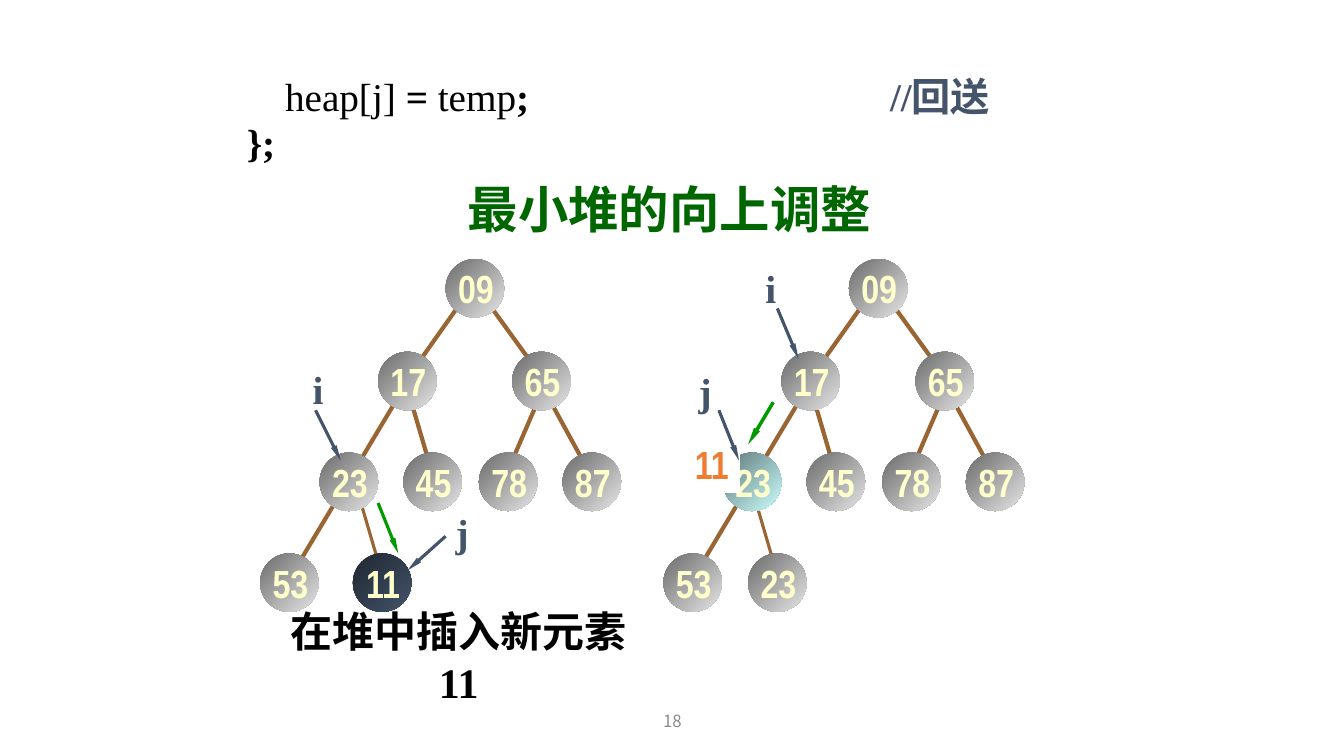
from lxml.etree import SubElement
from pptx import Presentation
from pptx.dml.color import RGBColor
from pptx.enum.shapes import MSO_CONNECTOR, MSO_SHAPE
from pptx.enum.text import MSO_ANCHOR as ANCHOR, PP_ALIGN as ALIGN
from pptx.oxml.ns import qn
from pptx.util import Inches, Pt

BLACK = RGBColor(0x00, 0x00, 0x00)
WHITE = RGBColor(0xFF, 0xFF, 0xFF)
PAGE_GRAY = RGBColor(0x8C, 0x8C, 0x8C)
NODE_GRAY = RGBColor(0xE7, 0xE6, 0xE6)
NODE_CYAN = RGBColor(0xCC, 0xFF, 0xFF)
SLATE = RGBColor(0x44, 0x54, 0x6A)
CREAM = RGBColor(0xFF, 0xFF, 0xCC)
BROWN = RGBColor(0x99, 0x66, 0x33)
GREEN = RGBColor(0x00, 0x99, 0x00)
TITLE_GREEN = RGBColor(0x00, 0x66, 0x00)
ORANGE = RGBColor(0xED, 0x7D, 0x31)
SERIF, NARROW, CJK = "Times New Roman", "Arial Narrow", "Noto Sans CJK SC"

prs = Presentation()
prs.slide_width, prs.slide_height = Inches(13.33), Inches(7.5)
slide = prs.slides.add_slide(prs.slide_layouts[6])
shapes = slide.shapes


def style(run, size, font, color, bold=True):
    run.font.size, run.font.bold = Pt(size), bold
    run.font.color.rgb = color
    run.font.name = font
    SubElement(run.font._element, qn("a:ea")).set("typeface", CJK)


def draw_line(start, end, color, width, arrow=False):
    line = shapes.add_connector(MSO_CONNECTOR.STRAIGHT, *map(Inches, start + end))
    line.line.color.rgb, line.line.width = color, Pt(width)
    SubElement(line._element.spPr, qn("a:effectLst"))
    if arrow:
        head = SubElement(line.line._get_or_add_ln(), qn("a:tailEnd"))
        for key, value in (("type", "triangle"), ("w", "sm"), ("len", "lg")):
            head.set(key, value)


EDGES = [
    ((4.58, 2.99), (4.17, 3.57)),
    ((4.83, 2.99), (5.25, 3.57)),
    ((3.92, 3.99), (2.92, 5.66)),
    ((4.08, 3.99), (4.25, 4.57)),
    ((5.33, 3.99), (5.08, 4.57)),
    ((5.42, 3.91), (5.83, 4.66)),
]
NODE_PLACES = [(4.42, 2.57), (3.75, 3.49), (5.08, 3.49), (3.17, 4.49), (4, 4.49),
               (4.75, 4.49), (5.58, 4.49), (2.58, 5.49)]
HEAP_TREES = [
    (0, 3.5, ["09", "17", "65", "23", "45", "78", "87", "53", "11"], {8: SLATE}),
    (4, 7.42, ["09", "17", "65", "23", "45", "78", "87", "53", "23"], {3: NODE_CYAN}),
]
for offset, last_x, keys, highlights in HEAP_TREES:
    for (x1, y1), (x2, y2) in EDGES:
        draw_line((x1 + offset, y1), (x2 + offset, y2), BROWN, 3)
    draw_line((last_x + 0.08, 4.99), (last_x + 0.25, 5.57), BROWN, 2.25)
    places = [(x + offset, y) for x, y in NODE_PLACES] + [(last_x, 5.49)]
    for index, (key, (x, y)) in enumerate(zip(keys, places)):
        node = shapes.add_shape(MSO_SHAPE.OVAL, Inches(x), Inches(y),
                                Inches(0.58), Inches(0.58))
        node.shadow.inherit = False
        node.line.fill.background()
        node.fill.gradient()
        node.fill.gradient_angle = 315
        for stop in node.fill.gradient_stops:
            stop.color.rgb = highlights.get(index, NODE_GRAY)
        dark_stop = next(node._element.spPr.iter(qn("a:srgbClr")))
        SubElement(dark_stop, qn("a:gamma"))
        SubElement(dark_stop, qn("a:shade")).set("val", "46275")
        SubElement(dark_stop, qn("a:invGamma"))
        frame = node.text_frame
        frame.text = key
        frame.word_wrap = False
        frame.vertical_anchor = ANCHOR.MIDDLE
        frame.margin_left, frame.margin_right = Inches(0.02), Inches(0)
        frame.margin_top = frame.margin_bottom = Inches(0)
        frame.paragraphs[0].alignment = ALIGN.CENTER
        style(frame.paragraphs[0].runs[0], 28, NARROW, CREAM)

LABELS = [
    ("i", 3, 3.57, 0.31, 0.57, 28, SERIF, SLATE, True, False),
    ("j", 4.42, 4.99, 0.33, 0.57, 28, SERIF, SLATE, True, False),
    ("i", 7.49, 2.57, 0.31, 0.57, 28, SERIF, SLATE, True, False),
    ("j", 6.83, 3.59, 0.33, 0.57, 28, SERIF, SLATE, True, False),
    ("11", 6.78, 4.32, 0.56, 0.57, 28, NARROW, ORANGE, True, False),
    ("在堆中插入新元素11", 2.6, 6.21, 3.9, 0.6, 30, SERIF, BLACK, True, True),
    ("18", 4.42, 6.95, 4.5, 0.4, 12, CJK, PAGE_GRAY, False, True),
]
for text, x, y, w, h, size, font, color, bold, wrap in LABELS:
    label = shapes.add_textbox(Inches(x), Inches(y), Inches(w), Inches(h))
    if color == ORANGE:
        label.fill.solid()
        label.fill.fore_color.rgb = WHITE
    frame = label.text_frame
    frame.text = text
    frame.word_wrap = wrap
    frame.vertical_anchor = ANCHOR.MIDDLE
    frame.paragraphs[0].alignment = ALIGN.CENTER
    style(frame.paragraphs[0].runs[0], size, font, color, bold)

ARROWS = [
    ((3.13, 4.07), (3.38, 4.57), SLATE, 2.25),
    ((4.42, 5.32), (4.04, 5.66), SLATE, 2.25),
    ((3.75, 4.99), (3.95, 5.49), GREEN, 2.25),
    ((7.71, 3.06), (7.92, 3.56), SLATE, 2.25),
    ((7.13, 4.07), (7.33, 4.57), SLATE, 2.25),
    ((7.67, 3.99), (7.42, 4.41), GREEN, 2.5),
]
for start, end, color, width in ARROWS:
    draw_line(start, end, color, width, arrow=True)

title = shapes.add_textbox(Inches(4.54), Inches(1.83), Inches(4.67), Inches(0.58)).text_frame
title.text = "最小堆的向上调整"
title.word_wrap = True
title.paragraphs[0].line_spacing = 0.8
style(title.paragraphs[0].runs[0], 36, SERIF, TITLE_GREEN)

code = shapes.add_textbox(Inches(2.35), Inches(0.76), Inches(9), Inches(1.1)).text_frame
code.word_wrap = True
CODE_LINES = [
    [("\theap[j]", BLACK, False), (" = ", BLACK, True), ("temp", BLACK, False),
     (";" + "\t" * 8, BLACK, True), ("//回送", SLATE, True)],
    [("};", BLACK, True)],
]
code.add_paragraph().space_before = Pt(5.6)
for paragraph, pieces in zip(code.paragraphs, CODE_LINES):
    paragraph.line_spacing = 0.8
    indents = paragraph._p.get_or_add_pPr()
    indents.set("marL", str(Inches(0.38)))
    indents.set("indent", str(-Inches(0.38)))
    for text, color, bold in pieces:
        run = paragraph.add_run()
        run.text = text
        style(run, 28, SERIF, color, bold)

prs.save("out.pptx")
